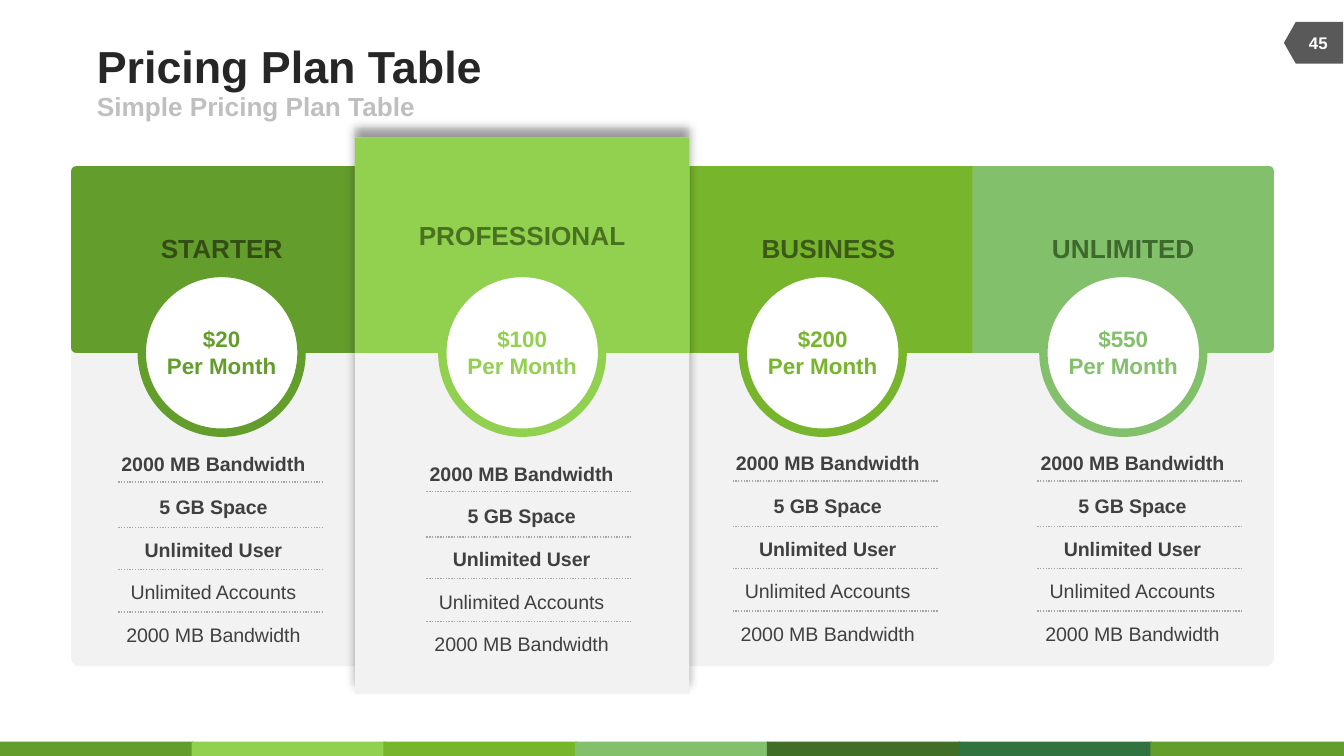
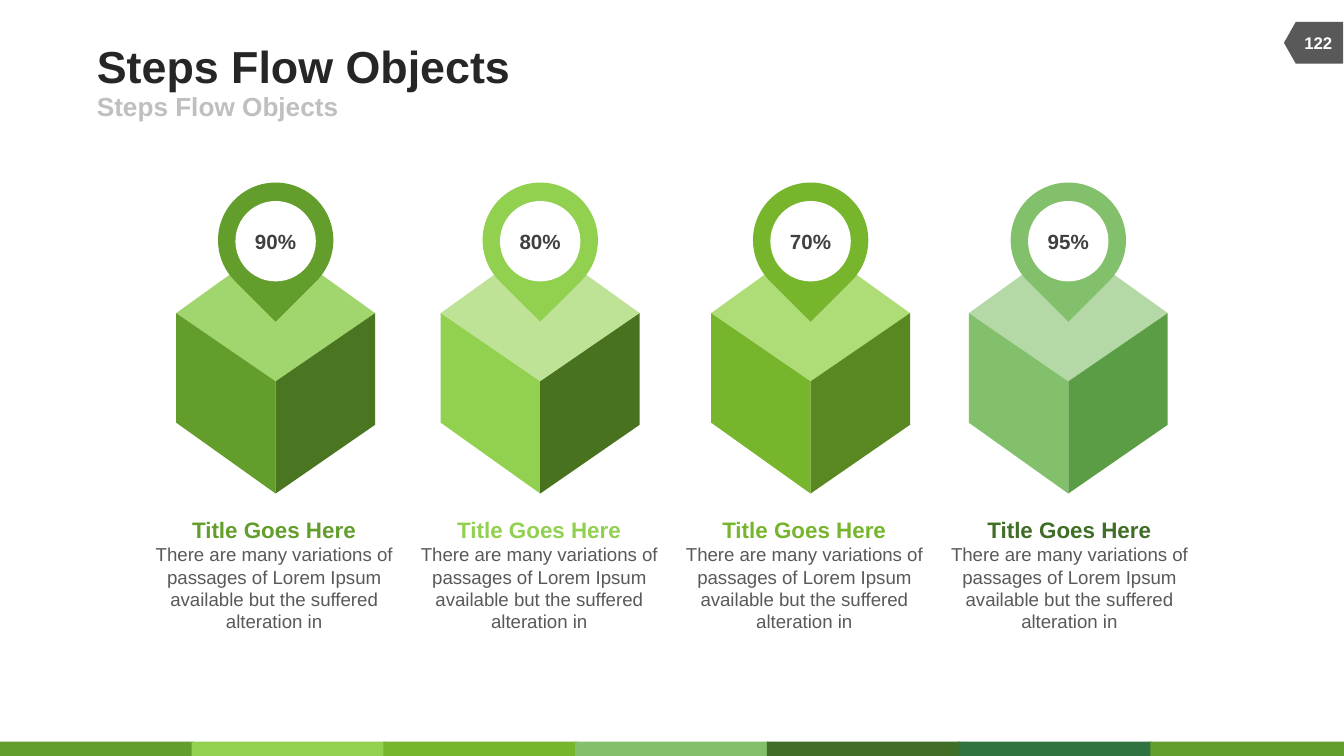
from dataclasses import dataclass

from lxml import etree
from pptx import Presentation
from pptx.dml.color import RGBColor
from pptx.enum import dml, shapes, text
from pptx.oxml import ns
from pptx.util import Cm, Pt

FONT = "Arial"
WHITE, PANEL, RULE = "FFFFFF", "F2F2F2", "A6A6A6"
TITLE, SUBTITLE, INK, GRAY = "262626", "BFBFBF", "404040", "595959"
GREEN, LIME, LEAF, SAGE = "639D2C", "92D050", "77B52D", "82C06C"
FOREST, PINE = "406E26", "307240"
SLIDE_WIDTH, SLIDE_HEIGHT = 25.4, 14.29
Kind = shapes.MSO_SHAPE


@dataclass
class Plan:
    name: str
    price: str
    color: str
    name_color: str
    name_width: float
    list_left: float
    list_drop: float
    name_shift: float = 0
    name_rise: float = 2.28
    kind: Kind = Kind.RECTANGLE
    rotation: int = 270
    featured: bool = False


PLANS = [
    Plan("STARTER", "$20", GREEN, "324E16", 2.31, 0.48, 1.53,
         kind=Kind.ROUND_2_SAME_RECTANGLE),
    Plan("PROFESSIONAL", "$100", LIME, "49721E", 3.94, 0.94, 1.71,
         name_rise=2.53, featured=True),
    Plan("BUSINESS", "$200", LEAF, "3C5A17", 2.57, 0.73, 1.51, name_shift=0.11),
    Plan("UNLIMITED", "$550", SAGE, "3D692D", 2.72, 0.81, 1.51,
         kind=Kind.ROUND_2_SAME_RECTANGLE, rotation=90),
]
FEATURES = ["2000 MB Bandwidth", "5 GB Space", "Unlimited User",
            "Unlimited Accounts", "2000 MB Bandwidth"]
BOLD_FEATURES = 3
RULE_DROPS = [0.91, 1.77, 2.56, 3.37]
PRICE_LINE = 6.67  # where plan headers meet plan bodies

# left edge, percentage, top face, left face, right face, caption colour
STEPS = [
    (3.33, "90%", "A1D66E", GREEN, "4A7621", GREEN),
    (8.33, "80%", "BEE396", LIME, "49721E", LIME),
    (13.44, "70%", "AEDD77", LEAF, "598822", LEAF),
    (18.31, "95%", "B4D9A7", SAGE, "5B9D44", FOREST),
]
STEP_TEXT = ("There are many variations of passages of Lorem Ipsum "
             "available but the suffered\nalteration in")


# Helpers: boxes are (left, top, width, height) in centimetres
def rgb(value):
    return RGBColor.from_string(value)


def paint(shape, fill, line=None, line_width=0):
    shape.shadow.inherit = False
    shape.fill.solid()
    shape.fill.fore_color.rgb = rgb(fill)
    if line:
        shape.line.color.rgb = rgb(line)
        shape.line.width = Pt(line_width)
    else:
        shape.line.fill.background()


def add_shape(slide, kind, box, fill, line=None, line_width=0, rotation=0):
    shape = slide.shapes.add_shape(kind, *map(Cm, box))
    shape.rotation = rotation
    paint(shape, fill, line, line_width)
    return shape


def add_turned_panel(slide, kind, box, fill, rotation):
    """Fill an upright box with a shape lying on its side."""
    left, top, width, height = box
    shift = (width - height) / 2
    panel = add_shape(slide, kind, (left + shift, top - shift, height, width),
                      fill, rotation=rotation)
    if kind == Kind.ROUND_2_SAME_RECTANGLE:
        panel.adjustments[0] = 0.026
        panel.adjustments[1] = 0
    return panel


def clear_margins(frame):
    frame.margin_left = frame.margin_right = 0
    frame.margin_top = frame.margin_bottom = 0


def write(paragraph, content, size, color, bold=True,
          alignment=text.PP_ALIGN.CENTER):
    paragraph.text = content
    paragraph.alignment = alignment
    font = paragraph.font
    font.name, font.size, font.bold = FONT, Pt(size), bold
    font.color.rgb = rgb(color)


def add_label(slide, box, content, size, color):
    frame = slide.shapes.add_textbox(*map(Cm, box)).text_frame
    clear_margins(frame)
    frame.word_wrap = False
    write(frame.paragraphs[0], content, size, color)


def add_rule(slide, left, right, top):
    rule = slide.shapes.add_connector(
        shapes.MSO_CONNECTOR.STRAIGHT, Cm(left), Cm(top), Cm(right), Cm(top))
    rule.line.color.rgb = rgb(RULE)
    rule.line.width = Pt(0.75)
    rule.line.dash_style = dml.MSO_LINE.ROUND_DOT
    etree.SubElement(rule.element.spPr, ns.qn("a:effectLst"))


def add_glow(shape):
    effects = shape.element.spPr.find(ns.qn("a:effectLst"))
    shadow = etree.SubElement(
        effects, ns.qn("a:outerShdw"), blurRad=str(Pt(5)), dist=str(Pt(5)),
        dir="16200000", algn="ctr", rotWithShape="0")
    color = etree.SubElement(shadow, ns.qn("a:srgbClr"), val="000000")
    etree.SubElement(color, ns.qn("a:alpha"), val="40000")


# Shared parts
def furnish_layout(slide):
    """Draw the colour band and number badge, and move them to the layout."""
    colors = [GREEN, LIME, LEAF, SAGE, FOREST, PINE, GREEN]
    width, height = 3.66, 0.27
    step = (SLIDE_WIDTH - width) / (len(colors) - 1)
    parts = [add_shape(slide, Kind.RECTANGLE,
                       (index * step, SLIDE_HEIGHT - height, width, height), color)
             for index, color in enumerate(colors)]
    parts.append(add_shape(slide, Kind.FLOWCHART_OFFPAGE_CONNECTOR,
                           (24.43, 0.25, 0.79, 1.12), GRAY, rotation=90))
    for part in parts:
        slide.slide_layout.shapes.element.append(part.element)


def fill_placeholder(placeholder, box, content, size, color):
    placeholder.left, placeholder.top, placeholder.width, placeholder.height = map(Cm, box)
    frame = placeholder.text_frame
    clear_margins(frame)
    frame.auto_size = text.MSO_AUTO_SIZE.NONE
    frame.vertical_anchor = text.MSO_ANCHOR.MIDDLE
    frame.word_wrap = True
    paragraph = frame.paragraphs[0]
    properties = paragraph._p.get_or_add_pPr()
    properties.set("marL", "0")
    properties.set("indent", "0")
    etree.SubElement(properties, ns.qn("a:buNone"))
    paragraph.space_before = Pt(0)
    write(paragraph, content, size, color, alignment=text.PP_ALIGN.LEFT)


def add_header(slide, title, subtitle, number):
    fill_placeholder(slide.shapes.title, (1.83, 0.74, 15.67, 0.99), title, 24, TITLE)
    fill_placeholder(slide.placeholders[1], (1.83, 1.73, 11.43, 0.56),
                     subtitle, 14, SUBTITLE)
    frame = slide.shapes.add_textbox(*map(Cm, (24.38, 0.43, 1.07, 0.76))).text_frame
    frame.word_wrap = True
    frame.vertical_anchor = text.MSO_ANCHOR.MIDDLE
    write(frame.paragraphs[0], number, 9, WHITE)


# Pricing plans
def plan_box(index, plan):
    center = 4.19 + index * 5.68
    width, top, height = (6.32, 2.6, 10.52) if plan.featured else (5.69, 3.14, 9.45)
    return center - width / 2, top, width, height


def add_plan_panels(slide, box, plan):
    left, top, width, height = box
    body = add_turned_panel(slide, plan.kind, box, PANEL, plan.rotation)
    if plan.featured:
        add_glow(body)
    add_turned_panel(slide, plan.kind, (left, top, width, PRICE_LINE - top),
                     plan.color, plan.rotation)


def add_feature_list(slide, box):
    left, top, width, height = box
    frame = slide.shapes.add_textbox(*map(Cm, box)).text_frame
    frame.word_wrap = True
    for index, feature in enumerate(FEATURES):
        paragraph = frame.add_paragraph() if index else frame.paragraphs[0]
        paragraph.line_spacing = 1.5
        paragraph.space_before = Pt(4 if index else 0)
        write(paragraph, feature, 10.5, INK, bold=index < BOLD_FEATURES)
    for drop in RULE_DROPS:
        add_rule(slide, left + 0.41, left + 4.29, top + drop)


def add_plan_details(slide, box, plan):
    left, _, width, _ = box
    center = left + width / 2
    diameter, price_width = 3.02, 2.08
    add_shape(slide, Kind.OVAL,
              (center - diameter / 2, PRICE_LINE - diameter / 2, diameter, diameter),
              WHITE, plan.color, 4.5)
    add_label(slide, (center - plan.name_width / 2 + plan.name_shift,
                      PRICE_LINE - plan.name_rise, plan.name_width, 0.61),
              plan.name, 14, plan.name_color)
    add_label(slide, (center - price_width / 2, PRICE_LINE - 0.52, price_width, 1.02),
              f"{plan.price}\nPer Month", 12, plan.color)
    add_feature_list(slide, (left + plan.list_left, PRICE_LINE + plan.list_drop,
                             4.42, 4.19))


def build_pricing(slide):
    add_header(slide, "Pricing Plan Table", "Simple Pricing Plan Table", "45")
    columns = [(plan_box(index, plan), plan) for index, plan in enumerate(PLANS)]
    # The featured plan overlaps its neighbours, so its panels come last
    for box, plan in sorted(columns, key=lambda column: column[1].featured):
        add_plan_panels(slide, box, plan)
    for box, plan in columns:
        add_plan_details(slide, box, plan)


# Steps
def add_face(slide, origin, points, fill):
    left, top = origin
    corners = [(Cm(left + x), Cm(top + y)) for x, y in points]
    builder = slide.shapes.build_freeform(*corners[0], scale=1.0)
    builder.add_line_segments(corners[1:], close=True)
    paint(builder.convert_to_shape(), fill)


def add_cube(slide, box, top_color, left_color, right_color):
    left, top, width, height = box
    middle, shoulder, front = width / 2, 1.35, 2.64
    peak, bottom = (middle, 0), (middle, height)
    center = (middle, front)
    west, east = (0, shoulder), (width, shoulder)
    faces = [
        ([east, center, west, peak], top_color),
        ([center, bottom, (0, 3.42), west], left_color),
        ([bottom, center, east, (width, 3.46)], right_color),
    ]
    for points, color in faces:
        add_face(slide, (left, top), points, color)


def add_pin(slide, box, percentage, color):
    left, top, width, height = box
    hole = 1.52
    add_shape(slide, Kind.TEAR, box, color, rotation=135)
    disc = add_shape(slide, Kind.OVAL, (left + (width - hole) / 2,
                                        top + (height - hole) / 2 + 0.02, hole, hole), WHITE)
    frame = disc.text_frame
    clear_margins(frame)
    frame.vertical_anchor = text.MSO_ANCHOR.MIDDLE
    write(frame.paragraphs[0], percentage, 11, INK)


def add_caption(slide, box, color):
    frame = slide.shapes.add_textbox(*map(Cm, box)).text_frame
    frame.word_wrap = True
    write(frame.paragraphs[0], "Title Goes Here", 12, color)
    write(frame.add_paragraph(), STEP_TEXT, 10, GRAY, bold=False)


def build_steps(slide):
    add_header(slide, "Steps Flow Objects", "Steps Flow Objects", "122")
    for index, (left, percentage, top, west, east, caption) in enumerate(STEPS):
        add_cube(slide, (left, 4.57, 3.76, 4.76), top, west, east)
        add_pin(slide, (left + 0.79, 3.45, 2.18, 2.18), percentage, west)
        add_caption(slide, (2.69 + index * 5.01, 9.63, 4.98, 2.49), caption)


def main():
    presentation = Presentation()
    presentation.slide_width = Cm(SLIDE_WIDTH)
    presentation.slide_height = Cm(SLIDE_HEIGHT)
    layout = presentation.slide_layouts[1]
    pricing, steps = [presentation.slides.add_slide(layout) for _ in range(2)]
    furnish_layout(pricing)
    build_pricing(pricing)
    build_steps(steps)
    presentation.save("out.pptx")


if __name__ == "__main__":
    main()
